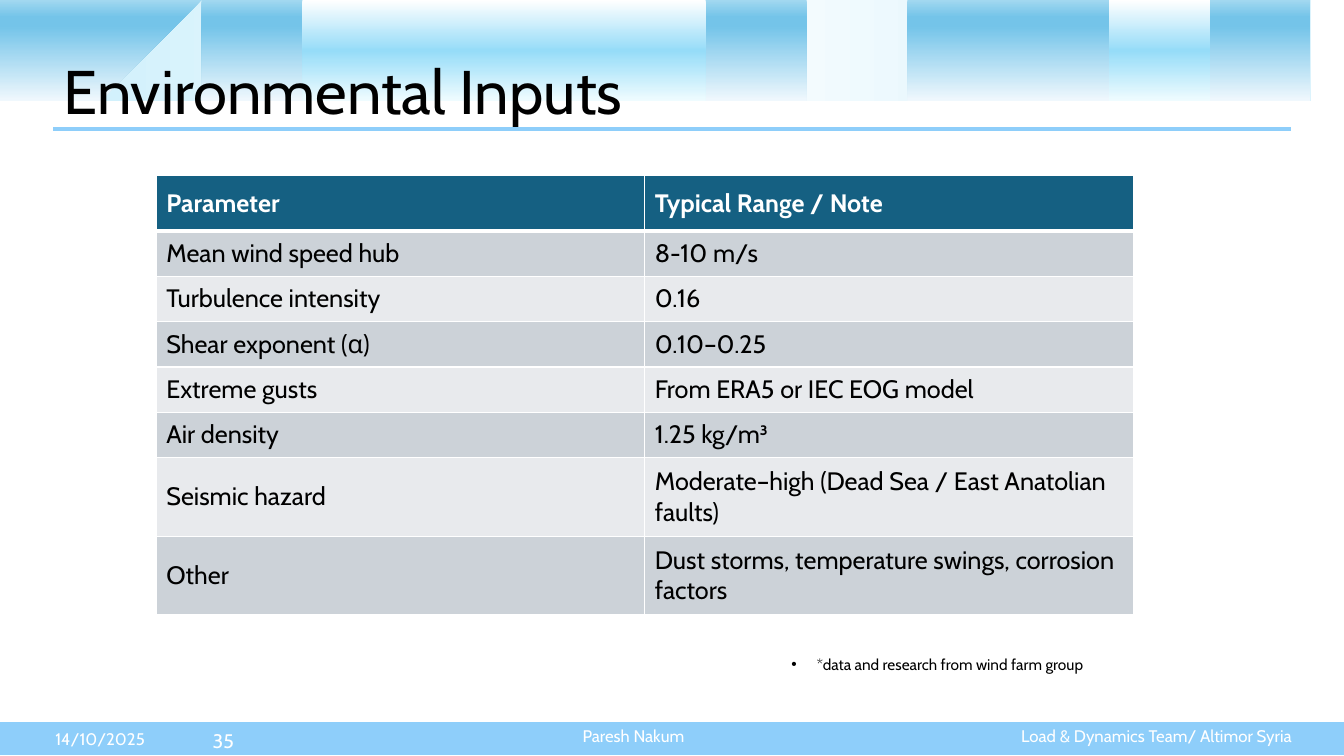
"""Build the Environmental Inputs slide with its wave banner, table and footer."""
from lxml import etree
from pptx import Presentation
from pptx import util as u
from pptx.dml.color import RGBColor
from pptx.enum import shapes, text
from pptx.oxml import parse_xml
from pptx.oxml.ns import nsdecls, qn

FONT = "Cabin"
COLORS = {"white": "FFFFFF", "black": "000000", "sky": "8ECEFA",
          "header": "156082", "odd": "CCD2D8", "even": "E8EAED"}

TITLE = "Environmental Inputs"
NOTE = "*data and research from wind farm group"
TABLE_ROWS = [
    ("Parameter", "Typical Range / Note"),
    ("Mean wind speed hub", "8-10 m/s"),
    ("Turbulence intensity", "0.16"),
    ("Shear exponent (α)", "0.10–0.25"),
    ("Extreme gusts", "From ERA5 or IEC EOG model"),
    ("Air density", "1.25 kg/m³"),
    ("Seismic hazard", "Moderate–high (Dead Sea / East Anatolian faults)"),
    ("Other", "Dust storms, temperature swings, corrosion factors"),
]
ROW_HEIGHTS = [0.55] + [0.45] * 5 + [0.78] * 2

FOOTERS = [
    ("14/10/2025", (0.45, 7.18, 1.09, 0.3), 12, "LEFT", "TOP"),
    ("35", (2, 7.15, 0.42, 0.4), 14, "RIGHT", "MIDDLE"),
    ("Load & Dynamics Team/ Altimor Syria", (10.03, 7.15, 3.05, 0.3), 12, "LEFT", "TOP"),
    ("Paresh Nakum", (5.68, 7.15, 1.43, 0.3), 12, "LEFT", "TOP"),
]

WAVES = [
    {"start": (13.3, 1.03),
     "curves": [((12.37, 1.02), (11.52, 1.59), (9.99, 1.06)),
                ((8.27, 0.54), (7.21, 1.24), (6.1, 1.2)),
                ((4.99, 1.16), (4.21, 0.87), (3.35, 0.8)),
                ((2.49, 0.74), (1.83, 0.71), (1.27, 0.75)),
                ((0.71, 0.79), (0.14, 1.11), (-0.02, 1.03))],
     "top": [(-0.04, 0.3), (3.13, 0.31), (6.52, 0.34), (9.41, 0.32), (13.32, 0.34)],
     "stops": [(0, "CAEEFB"), (50, "FFFFFF"), (100, "CAEEFB")], "angle": 0},
    {"start": (13.32, 0.7),
     "curves": [((12.39, 0.7), (11.96, 1.28), (10.44, 0.74)),
                ((8.71, 0.2), (7.73, 0.5), (7.06, 0.68)),
                ((5.28, 1.14), (4.59, 0.98), (3.46, 0.71)),
                ((1.13, 0.22), (1.15, 0.7), (0, 0.7))],
     "top": [(0.01, 0), (3.13, 0.01), (6.54, -0.01), (9.46, 0), (13.33, 0.04)],
     "stops": [(0, "A2D8F0"), (17, "74C4E9"), (26, "74C4E9"), (100, "F0F8FD")], "angle": 90},
    {"start": (13.32, 0.37),
     "curves": [((12.39, 0.36), (11.96, 0.88), (10.44, 0.4)),
                ((8.72, -0.08), (8.91, -0.05), (8.13, 0.01)),
                ((7.35, 0.06), (6.53, 0.64), (5.76, 0.74)),
                ((4.98, 0.84), (4.24, 0.81), (3.47, 0.62)),
                ((2.58, 0.38), (2.07, 0.06), (1.5, 0.06)),
                ((0.92, 0.06), (0.22, 0.63), (-0.03, 0.55))],
     "top": [(0.01, -0.25), (3.13, -0.24), (6.54, -0.26), (9.46, -0.25), (13.33, -0.22)],
     "stops": [(0, "FFFFFF"), (50, "96DCF8"), (100, "EFFCFF")], "angle": 90},
]
CURVE_STEPS = 24


def color(name):
    return RGBColor.from_string(COLORS[name])


def inches(values):
    return [u.Inches(value) for value in values]


def style(para, size, shade, bold=False):
    for span in para.runs:
        span.font.name, span.font.size = FONT, u.Pt(size)
        span.font.bold, span.font.color.rgb = bold, color(shade)


def curve_points(start, first, second, end):
    for step in range(1, CURVE_STEPS + 1):
        t = step / CURVE_STEPS
        weights = ((1 - t) ** 3, 3 * t * (1 - t) ** 2, 3 * t * t * (1 - t), t ** 3)
        knots = (start, first, second, end)
        yield tuple(sum(w * knot[axis] for w, knot in zip(weights, knots)) for axis in (0, 1))


def add_wave(page, wave):
    points, start = [], wave["start"]
    for curve in wave["curves"]:
        points += curve_points(start, *curve)
        start = curve[-1]
    builder = page.shapes.build_freeform(*wave["start"], scale=u.Inches(1))
    builder.add_line_segments(points + wave["top"], close=True)
    shape = builder.convert_to_shape()
    shape.shadow.inherit = False
    shape.line.fill.background()
    shape.fill.gradient()
    shape.fill.gradient_angle = 0
    gradient = shape.element.spPr.find(qn("a:gradFill"))
    gradient.find(qn("a:lin")).set("ang", str(wave["angle"] * 60000))
    stops = gradient.find(qn("a:gsLst"))
    for old in list(stops):
        stops.remove(old)
    for position, shade in wave["stops"]:
        stop = etree.SubElement(stops, qn("a:gs"), pos=str(position * 1000))
        etree.SubElement(stop, qn("a:srgbClr"), val=shade)


def add_text(page, words, place, size, shade, align="LEFT", anchor="TOP", wrap=False):
    box = page.shapes.add_textbox(*inches(place))
    frame = box.text_frame
    frame.text, frame.word_wrap = words, wrap
    frame.vertical_anchor = text.MSO_ANCHOR[anchor]
    para = frame.paragraphs[0]
    para.alignment = text.PP_ALIGN[align]
    style(para, size, shade)
    return para


def add_borders(cell, bottom):
    properties = cell._tc.get_or_add_tcPr()
    for index, (side, width) in enumerate((("L", 1), ("R", 1), ("T", 1), ("B", bottom))):
        properties.insert(index, parse_xml(
            f'<a:ln{side} {nsdecls("a")} w="{width * 12700}"><a:solidFill>'
            f'<a:srgbClr val="{COLORS["white"]}"/></a:solidFill></a:ln{side}>'))


def add_inputs_table(page):
    place = inches((1.55, 1.74, 9.69, sum(ROW_HEIGHTS)))
    table = page.shapes.add_table(len(TABLE_ROWS), 2, *place).table
    for column in table.columns:
        column.width = u.Inches(9.69 / 2)
    for row, words in enumerate(TABLE_ROWS):
        table.rows[row].height = u.Inches(ROW_HEIGHTS[row])
        header = row == 0
        shade = "header" if header else "odd" if row % 2 else "even"
        for column, word in enumerate(words):
            cell = table.cell(row, column)
            cell.text = word
            cell.vertical_anchor = text.MSO_ANCHOR.MIDDLE
            cell.fill.solid()
            cell.fill.fore_color.rgb = color(shade)
            style(cell.text_frame.paragraphs[0], 18, "white" if header else "black", header)
            add_borders(cell, 3 if header else 1)


def main():
    deck = Presentation()
    deck.slide_width, deck.slide_height = inches((13.33, 7.5))
    page = deck.slides.add_slide(deck.slide_layouts[5])
    for wave in WAVES:
        add_wave(page, wave)

    band = page.shapes.add_shape(shapes.MSO_SHAPE.RECTANGLE, *inches((-0.01, 7.15, 13.35, 0.35)))
    band.shadow.inherit = False
    band.fill.solid()
    band.fill.fore_color.rgb = color("sky")
    band.line.color.rgb, band.line.width = color("white"), u.Pt(1.5)

    title = page.shapes.title
    title.left, title.top, title.width, title.height = inches((0.53, 0.55, 8.26, 0.78))
    title.text_frame.text = TITLE
    title.text_frame.vertical_anchor = text.MSO_ANCHOR.MIDDLE
    heading = title.text_frame.paragraphs[0]
    heading.alignment, heading.line_spacing = text.PP_ALIGN.LEFT, 0.9
    style(heading, 44, "black")
    title.element.getparent().append(title.element)

    rule = page.shapes.add_connector(shapes.MSO_CONNECTOR.STRAIGHT, *inches((0.53, 1.28, 12.8, 1.28)))
    rule.line.color.rgb, rule.line.width = color("sky"), u.Pt(3)
    etree.SubElement(rule.element.spPr, qn("a:effectLst"))

    for words, place, size, align, anchor in FOOTERS:
        add_text(page, words, place, size, "white", align, anchor)

    note = add_text(page, NOTE, (7.75, 6.47, 3.49, 0.29), 11, "black", wrap=True)
    note.line_spacing = 0.9
    properties = note._p.get_or_add_pPr()
    properties.set("marL", str(u.Inches(0.25)))
    properties.set("indent", str(-u.Inches(0.25)))
    etree.SubElement(properties, qn("a:buFont"), typeface="Arial")
    etree.SubElement(properties, qn("a:buChar"), char="•")

    add_inputs_table(page)
    deck.save("out.pptx")


if __name__ == "__main__":
    main()
